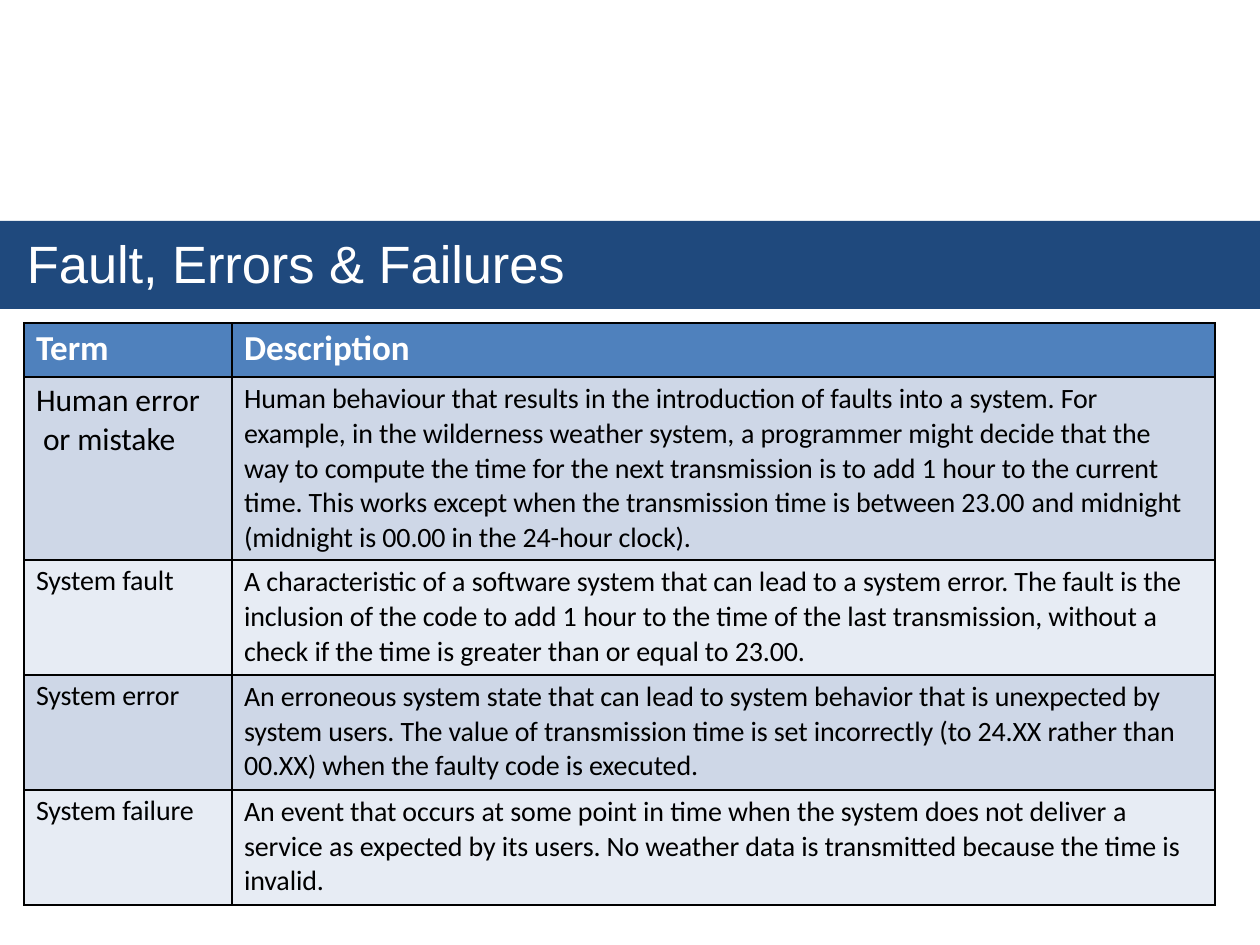
from lxml.etree import SubElement as Sub
from pptx import Presentation as Deck
from pptx.dml.color import RGBColor as Rgb
from pptx.enum.shapes import MSO_SHAPE as Kind
from pptx.enum.text import MSO_ANCHOR as Anchor, MSO_AUTO_SIZE as Fit, PP_ALIGN as Align
from pptx.oxml.ns import qn
from pptx.util import Emu, Pt

PX = 914400 / 126  # EMU in one px
TIGHT = -5  # letter spacing, hundredths of a point
COLS = (208, 983)
ROWS = (54, 183, 115, 115, 115)
HUES = {
    "band": "1F497D",
    "head": "4F81BD",
    "odd": "CED7E7",
    "even": "E7ECF4",
    "white": "FFFFFF",
    "black": "000000",
}

# Runs are parted by "|": tight and normal spacing take turns
TERMS = [
    ("Term", "Description"),
    ("Human error\vor mistake",
     "Human behaviour that results in the introduction of faults into |a |"
     "system. For example, in the wilderness weather system, |a |"
     "programmer might decide that the way to compute the time for the next "
     "transmission is to |add 1 |hour to the current time. This works except "
     "when the transmission time is between 23.00 |and |"
     "midnight (midnight is 00.00 in the 24-hour clock)."),
    ("System fault",
     "|A |characteristic of |a |software system that can lead to |a |"
     "system error. The fault is the inclusion of the code to |add 1 |"
     "hour to the time of the last transmission, without |a |"
     "check if the time is greater than or equal to 23.00."),
    ("System error",
     "An erroneous system state that can lead to system behavior that is "
     "unexpected by system users. The value of transmission time is set "
     "incorrectly (to 24.XX rather than 00.XX) when the faulty code is executed."),
    ("System failure",
     "An event that occurs |at |some point in time when the system does not "
     "deliver |a |service |as |expected by its users. No weather data is "
     "transmitted because the time is invalid."),
]


def px(num):
    return Emu(round(num * PX))


def hue(name):
    return Rgb.from_string(HUES[name])


def add_runs(para, text, font, size, color, bold=False):
    for i, part in enumerate(text.split("|")):
        for j, line in enumerate(part.split("\v")):
            if j:
                para.add_line_break()
            if not line:
                continue
            run = para.add_run()
            run.text = line
            run.font.name, run.font.size, run.font.bold = font, Pt(size), bold
            run.font.color.rgb = hue(color)
            run._r.get_or_add_rPr().set("spc", str(0 if i % 2 else TIGHT))


def set_para(para, left, before, lead=1.0, first=0):
    para.alignment = Align.LEFT
    para.space_before, para.line_spacing = Pt(before), lead
    props = para._p.get_or_add_pPr()
    props.set("marL", str(px(left)))
    props.set("indent", str(px(first)))


def set_edges(cell):
    props = cell._tc.get_or_add_tcPr()
    for side in ("lnL", "lnR", "lnT", "lnB"):
        line = Sub(props, qn("a:" + side), w=str(Pt(0.96)))
        fill = Sub(line, qn("a:solidFill"))
        Sub(fill, qn("a:srgbClr"), val=HUES["black"])


def add_band(slide):
    band = slide.shapes.add_shape(Kind.RECTANGLE, 0, px(221), px(1260), px(88))
    band.shadow.inherit = False
    band.fill.solid()
    band.fill.fore_color.rgb = hue("band")
    band.line.fill.background()


def add_title(slide, text):
    title = slide.shapes.title
    title.left, title.top, title.width, title.height = map(px, (25, 229, 542, 67))
    frame = title.text_frame
    frame.margin_left = frame.margin_right = frame.margin_bottom = 0
    frame.margin_top = px(2)
    frame.vertical_anchor = Anchor.TOP
    frame.word_wrap, frame.auto_size = True, Fit.SHAPE_TO_FIT_TEXT
    para = frame.paragraphs[0]
    set_para(para, 2, 1)
    add_runs(para, text, "Arial", 30, "white")
    slide.shapes._spTree.append(title._element)  # in front of the band


def fill_cell(cell, row, col, text):
    cell.margin_left = cell.margin_bottom = 0
    cell.margin_right = px(24 if col else 0)
    cell.margin_top = px(4)
    set_edges(cell)
    cell.fill.solid()
    cell.fill.fore_color.rgb = hue("head" if row == 0 else "odd" if row % 2 else "even")
    para = cell.text_frame.paragraphs[0]
    if row == 0:
        set_para(para, 12, 2)
        add_runs(para, text, "Calibri", 20, "white", True)
    elif col:
        set_para(para, 12, 1.5, 1.02)
        add_runs(para, text, "Calibri", 16, "black")
    elif row == 1:
        set_para(para, 19, 2, 1.01, -7)  # second line hangs in
        add_runs(para, text, "Calibri", 18, "black")
    else:
        set_para(para, 12, 2.8)
        add_runs(para, text, "Calibri", 16, "black")


def add_terms(slide):
    grid = slide.shapes.add_table(len(ROWS), len(COLS), px(24), px(323),
                                  px(sum(COLS)), px(sum(ROWS))).table
    for col, wide in zip(grid.columns, COLS):
        col.width = px(wide)
    for row, high in zip(grid.rows, ROWS):
        row.height = px(high)
    for r, pair in enumerate(TERMS):
        for c, text in enumerate(pair):
            fill_cell(grid.cell(r, c), r, c, text)


def main():
    deck = Deck()
    deck.slide_width, deck.slide_height = px(1260), px(945)
    slide = deck.slides.add_slide(deck.slide_layouts[5])
    add_terms(slide)
    add_band(slide)
    add_title(slide, "Fault, Errors |& |Failures")
    deck.save("out.pptx")


if __name__ == "__main__":
    main()
